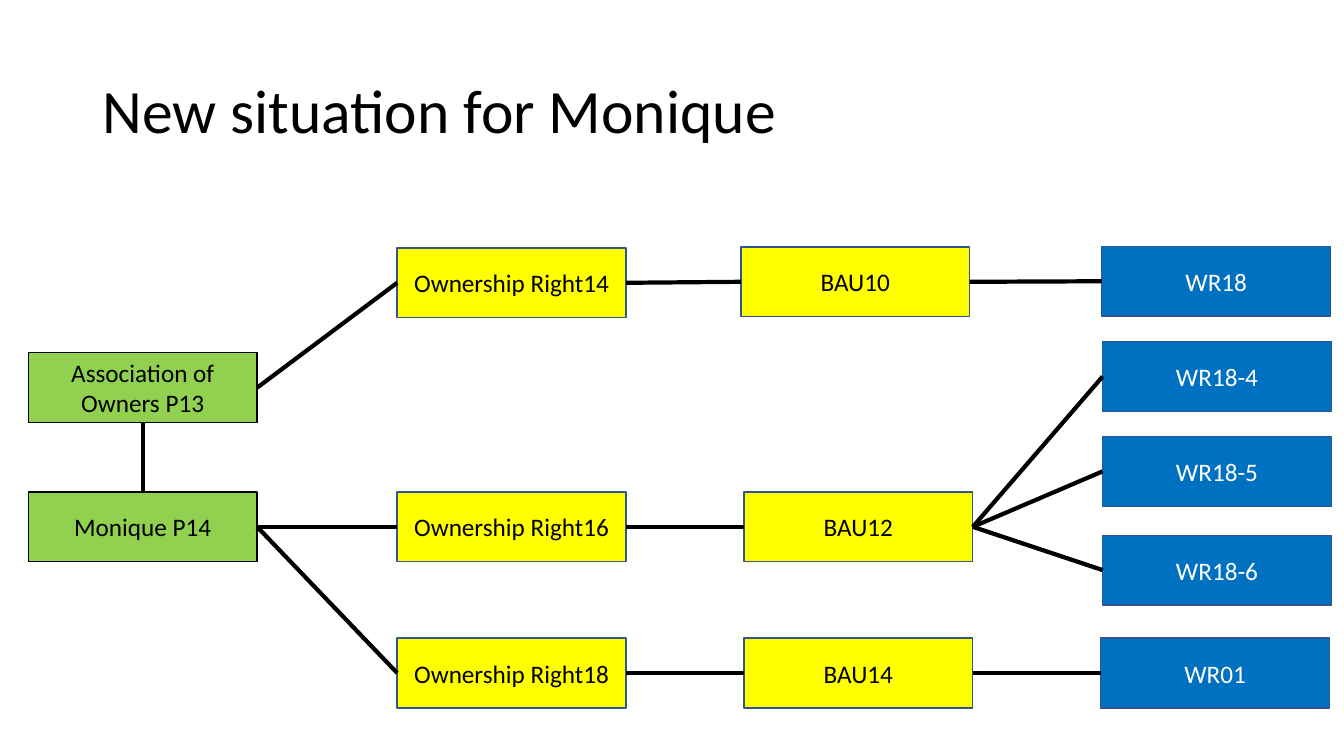
from lxml.etree import SubElement
from pptx import Presentation
from pptx.dml.color import RGBColor
from pptx.enum.shapes import MSO_CONNECTOR, MSO_SHAPE
from pptx.enum.text import MSO_ANCHOR, PP_ALIGN
from pptx.oxml.ns import qn
from pptx.util import Pt

BLACK = RGBColor(0x00, 0x00, 0x00)
WHITE = RGBColor(0xFF, 0xFF, 0xFF)
GREEN = RGBColor(0x92, 0xD0, 0x50)
YELLOW = RGBColor(0xFF, 0xFF, 0x00)
BLUE = RGBColor(0x00, 0x70, 0xC0)
NAVY = RGBColor(0x32, 0x54, 0x91)

TOP, LEFT, BOTTOM, RIGHT = range(4)

PERSON = (GREEN, BLACK, BLACK)
RIGHT_UNIT = (YELLOW, NAVY, BLACK)
REGISTER = (BLUE, NAVY, WHITE)

BOXES = [
    ("Association of Owners P13", 20.2, 252, PERSON),
    ("Monique P14", 20.2, 351.4, PERSON),
    ("Ownership Right14", 283.7, 177.1, RIGHT_UNIT),
    ("Ownership Right16", 283.7, 351.4, RIGHT_UNIT),
    ("Ownership Right18", 283.7, 455.8, RIGHT_UNIT),
    ("BAU10", 529.2, 176.4, RIGHT_UNIT),
    ("BAU12", 531.4, 351.4, RIGHT_UNIT),
    ("BAU14", 531.4, 455.8, RIGHT_UNIT),
    ("WR18", 787, 176, REGISTER),
    ("WR18-4", 787.6, 244.1, REGISTER),
    ("WR18-5", 787.6, 311.8, REGISTER),
    ("WR18-6", 787.6, 382.3, REGISTER),
    ("WR01", 786.2, 455.8, REGISTER),
]

LINKS = [
    ("Association of Owners P13", "Ownership Right14"),
    ("Monique P14", "Ownership Right16"),
    ("Monique P14", "Ownership Right18"),
    ("Ownership Right14", "BAU10"),
    ("Ownership Right16", "BAU12"),
    ("Ownership Right18", "BAU14"),
    ("BAU10", "WR18"),
    ("BAU12", "WR18-4"),
    ("BAU12", "WR18-5"),
    ("BAU12", "WR18-6"),
    ("BAU14", "WR01"),
]


def write(frame, text, *, size, color, align, spacing=1.0, font="Calibri"):
    frame.word_wrap = True
    frame.vertical_anchor = MSO_ANCHOR.MIDDLE
    para = frame.paragraphs[0]
    para.alignment = align
    para.line_spacing = spacing
    span = para.add_run()
    span.text = text
    span.font.name = font
    span.font.size = Pt(size)
    span.font.color.rgb = color


class Diagram:
    box_width = 163.5
    box_height = 49.8
    box_size = 18
    title_size = 44
    border = 1
    link_width = 3

    def __init__(self, page):
        self.page = page

    def title(self, text, left, top, width, height):
        title = self.page.shapes.title
        title.left, title.top = Pt(left), Pt(top)
        title.width, title.height = Pt(width), Pt(height)
        write(title.text_frame, text, size=self.title_size, color=BLACK,
              align=PP_ALIGN.LEFT, spacing=0.9)

    def box(self, text, left, top, style):
        fill, line, color = style
        box = self.page.shapes.add_shape(
            MSO_SHAPE.RECTANGLE, Pt(left), Pt(top),
            Pt(self.box_width), Pt(self.box_height))
        box.shadow.inherit = False
        box.fill.solid()
        box.fill.fore_color.rgb = fill
        box.line.color.rgb = line
        box.line.width = Pt(self.border)
        write(box.text_frame, text, size=self.box_size, color=color,
              align=PP_ALIGN.CENTER)
        return box

    def link(self, start, end, start_side=RIGHT, end_side=LEFT):
        link = self.page.shapes.add_connector(MSO_CONNECTOR.STRAIGHT, 0, 0, 0, 0)
        link.begin_connect(start, start_side)
        link.end_connect(end, end_side)
        link.line.color.rgb = BLACK
        link.line.width = Pt(self.link_width)
        SubElement(link.element.spPr, qn("a:effectLst"))


def main():
    deck = Presentation()
    deck.slide_width, deck.slide_height = Pt(960), Pt(540)
    diagram = Diagram(deck.slides.add_slide(deck.slide_layouts[5]))
    diagram.title("New situation for Monique", 66, 28.75, 828, 104.4)
    boxes = {text: diagram.box(text, left, top, style)
             for text, left, top, style in BOXES}
    for start, end in LINKS:
        diagram.link(boxes[start], boxes[end])
    diagram.link(boxes["Association of Owners P13"], boxes["Monique P14"],
                 BOTTOM, TOP)
    deck.save("out.pptx")


if __name__ == "__main__":
    main()
